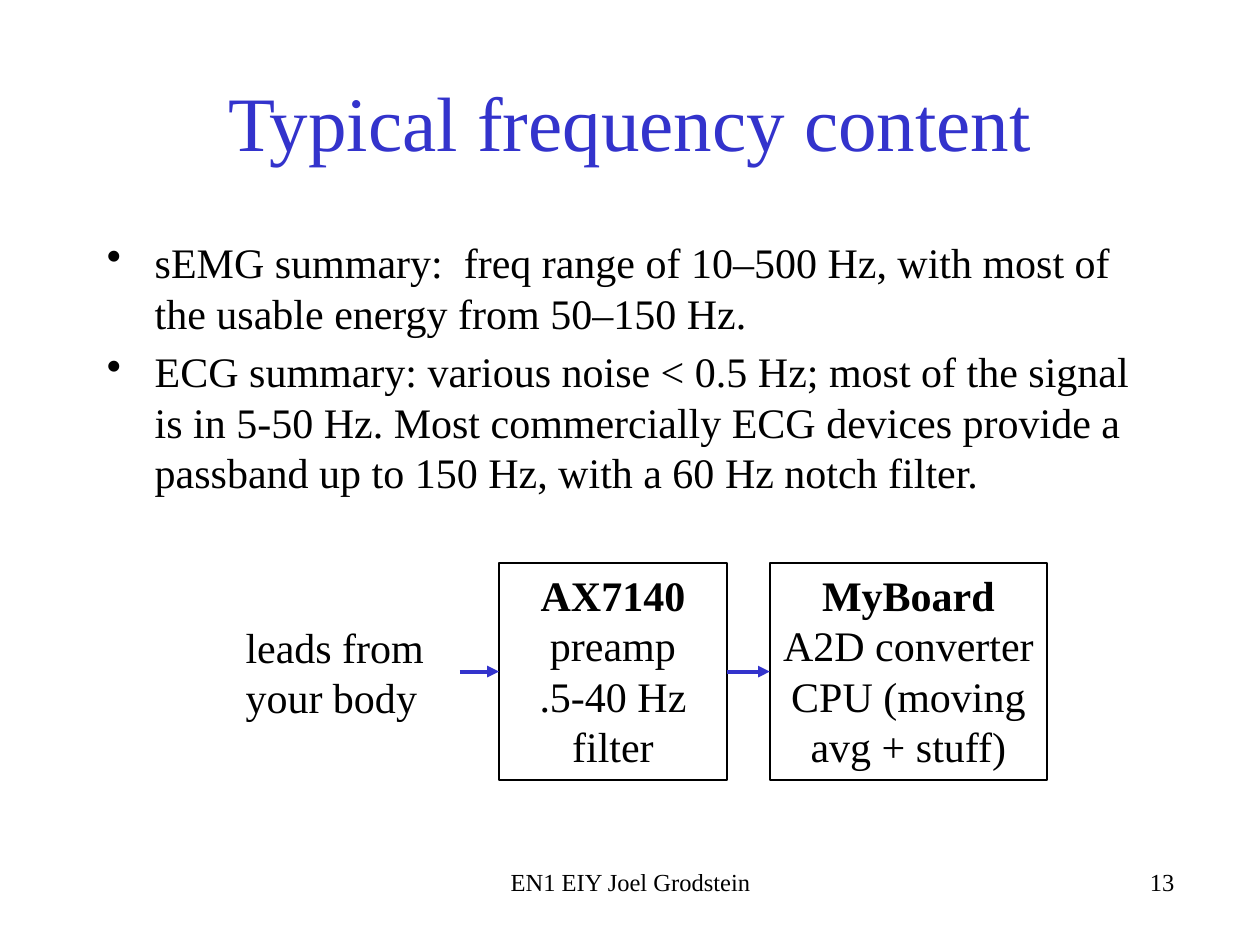
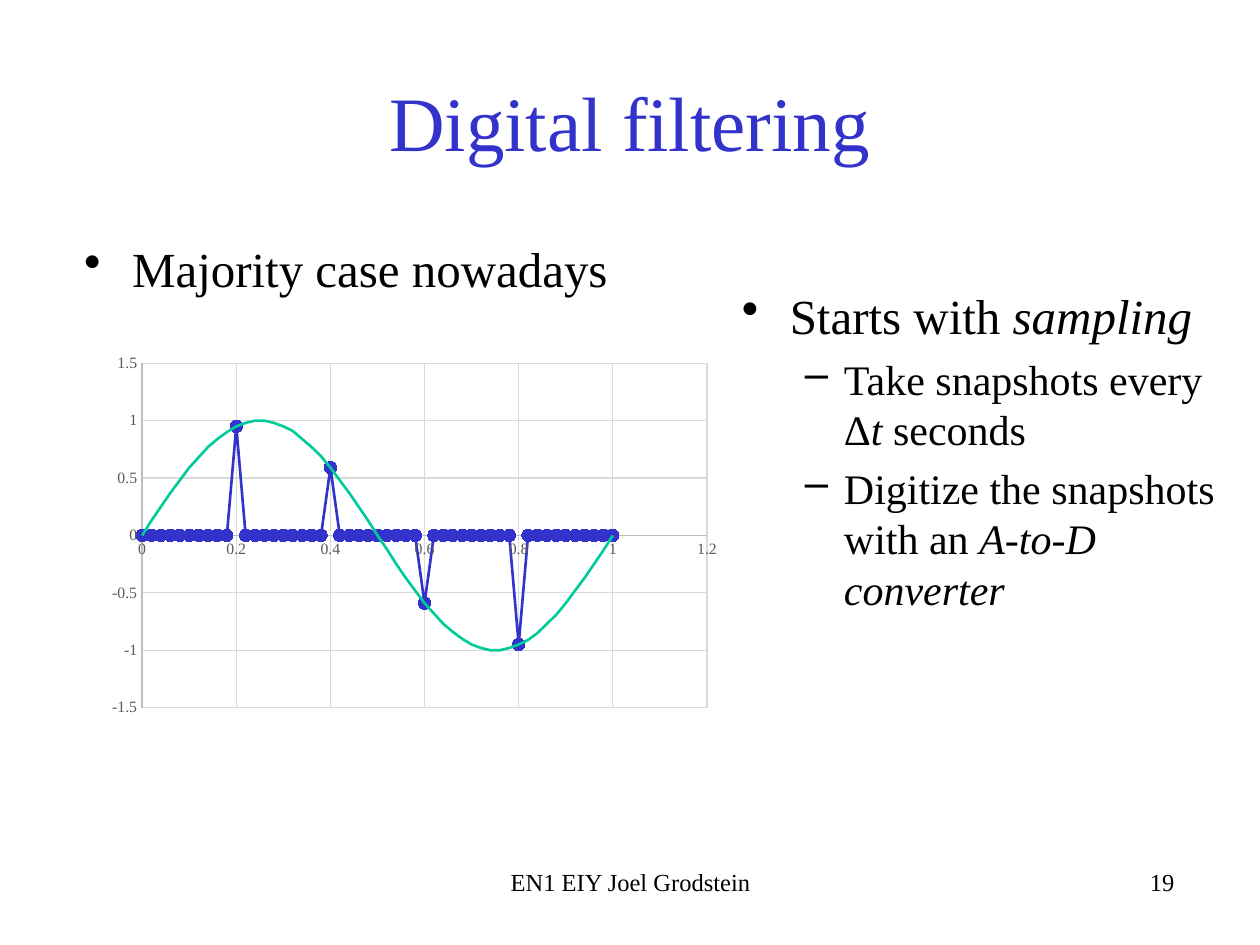
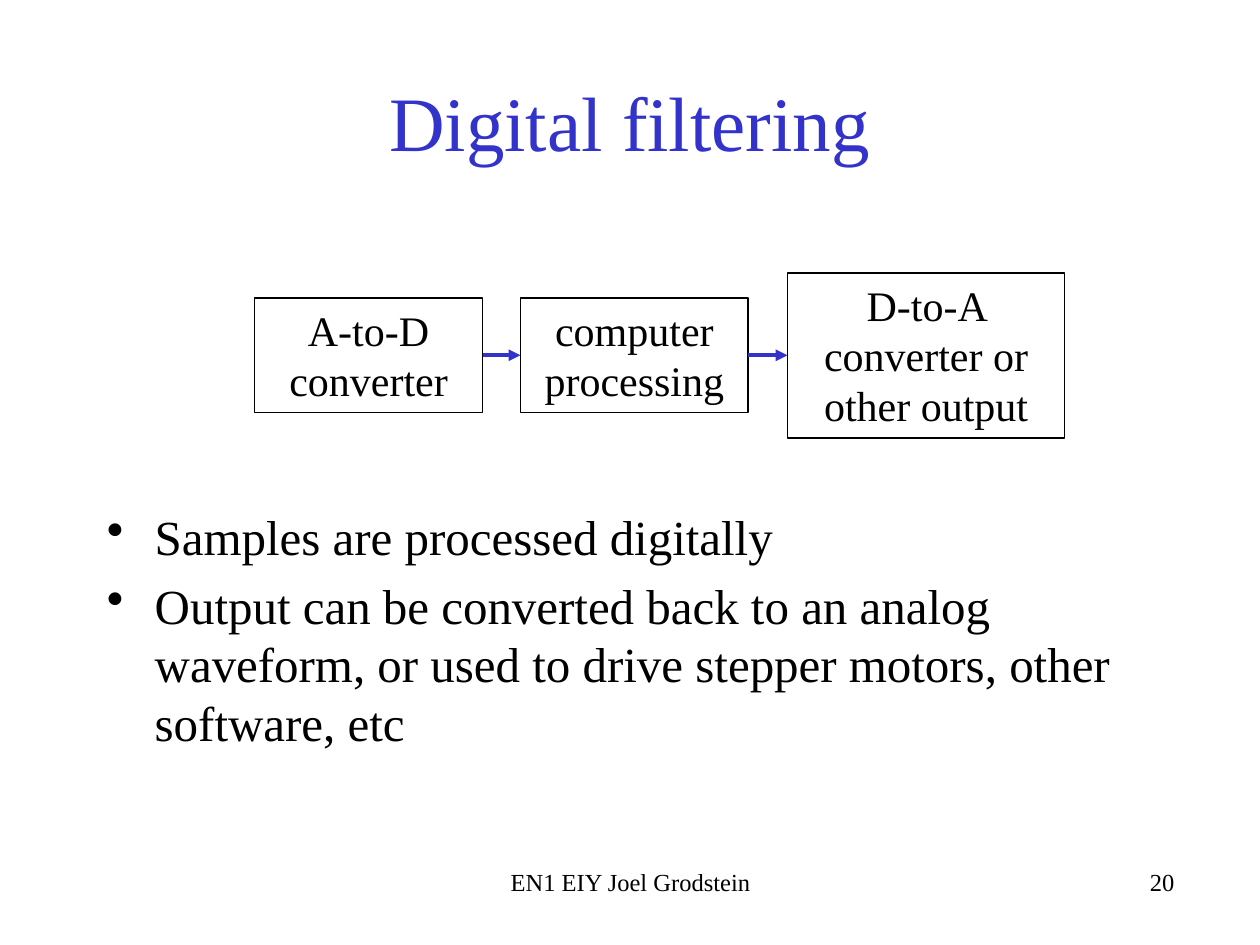
"""Build three slides on the frequency content and digital filtering of body signals."""
import math
from dataclasses import dataclass
from typing import NamedTuple, Optional

from lxml import etree
from pptx import Presentation
from pptx import util as u
from pptx.chart import data
from pptx.dml import color
from pptx.enum import chart as ch
from pptx.enum import shapes, text
from pptx.oxml import ns


def rgb(value: str) -> color.RGBColor:
    return color.RGBColor.from_string(value)


@dataclass(frozen=True)
class Theme:
    font: str = "Times New Roman"
    ink: color.RGBColor = rgb("000000")
    accent: color.RGBColor = rgb("3333CC")
    wave: color.RGBColor = rgb("00CC99")
    grid: color.RGBColor = rgb("D9D9D9")
    axis: color.RGBColor = rgb("BFBFBF")
    label: color.RGBColor = rgb("595959")
    title_size: float = 44
    large: float = 28
    body: float = 24
    footer: float = 14
    tick: float = 9
    outline: float = 1
    arrow: float = 2.25
    curve: float = 1.5
    hairline: float = 0.75


class Rect(NamedTuple):
    left: float
    top: float
    width: float
    height: float

    def lengths(self) -> list[u.Length]:
        return [u.Inches(v) for v in self]


class Run(NamedTuple):
    text: str
    bold: bool = False
    italic: bool = False


class Para(NamedTuple):
    runs: list[Run]
    size: float
    level: int = 0


class Box(NamedTuple):
    left: float
    width: float
    height: float
    lines: list[Run]


class Bullet(NamedTuple):
    char: str
    margin: float
    hanging: float


T = Theme()
BULLETS = [Bullet("•", 0.38, 0.38), Bullet("–", 0.81, 0.31)]
TITLE = Rect(0.75, 0.33, 8.5, 1.25)
FOOTER = Rect(3.42, 6.83, 3.17, 0.34)
NUMBER = Rect(6.25, 6.83, 3.17, 0.5)
FOOTER_TEXT = "EN1 EIY Joel Grodstein"
ARROW_LENGTH = 0.31


def style(font, size: float, ink: color.RGBColor = T.ink) -> None:
    font.name, font.size = T.font, u.Pt(size)
    font.color.rgb = ink


def add_run(p, run: Run, size: float, ink: color.RGBColor = T.ink) -> None:
    r = p.add_run()
    r.text = run.text
    style(r.font, size, ink)
    r.font.bold, r.font.italic = run.bold, run.italic


def paragraphs(tf, count: int) -> list:
    return [tf.paragraphs[0]] + [tf.add_paragraph() for _ in range(count - 1)]


def add_lines(tf, lines: list[Run], size: float, align) -> None:
    tf.word_wrap = True
    for p, line in zip(paragraphs(tf, len(lines)), lines):
        p.alignment = align
        add_run(p, line, size)


def add_text(s, rect: Rect, line: str, size: float, align=text.PP_ALIGN.LEFT) -> None:
    sp = s.shapes.add_textbox(*rect.lengths())
    add_lines(sp.text_frame, [Run(line)], size, align)


def add_bullets(s, rect: Rect, items: list[Para]) -> None:
    tf = s.shapes.add_textbox(*rect.lengths()).text_frame
    tf.word_wrap = True
    for i, (p, item) in enumerate(zip(paragraphs(tf, len(items)), items)):
        bullet = BULLETS[item.level]
        pPr = p._p.get_or_add_pPr()
        pPr.set("marL", str(u.Inches(bullet.margin)))
        pPr.set("indent", str(-u.Inches(bullet.hanging)))
        etree.SubElement(pPr, ns.qn("a:buChar")).set("char", bullet.char)
        p.level = item.level
        if i:
            p.space_before = u.Pt(0.2 * item.size)
        for run in item.runs:
            add_run(p, run, item.size)


def add_box(s, box: Box, middle: float):
    rect = Rect(box.left, middle - box.height / 2, box.width, box.height)
    sp = s.shapes.add_shape(shapes.MSO_SHAPE.RECTANGLE, *rect.lengths())
    sp.shadow.inherit = False
    sp.fill.background()
    sp.line.color.rgb, sp.line.width = T.ink, u.Pt(T.outline)
    tf = sp.text_frame
    add_lines(tf, box.lines, T.body, text.PP_ALIGN.CENTER)
    tf.vertical_anchor = text.MSO_ANCHOR.TOP
    tf.auto_size = text.MSO_AUTO_SIZE.SHAPE_TO_FIT_TEXT
    return sp


def add_arrow(s, target, source=None) -> None:
    y = target.top + target.height // 2
    start = target.left - u.Inches(ARROW_LENGTH)
    line = s.shapes.add_connector(shapes.MSO_CONNECTOR.STRAIGHT, start, y, target.left, y)
    if source is not None:
        line.begin_connect(source, 3)
    line.end_connect(target, 1)
    line.line.color.rgb, line.line.width = T.accent, u.Pt(T.arrow)
    etree.SubElement(line.line._get_or_add_ln(), ns.qn("a:tailEnd")).set("type", "triangle")
    etree.SubElement(line._element.spPr, ns.qn("a:effectLst"))


def add_flow(s, boxes: list[Box], middle: float) -> list:
    sps = [add_box(s, box, middle) for box in boxes]
    for source, target in zip(sps, sps[1:]):
        add_arrow(s, target, source)
    return sps


def add_slide(prs, title: str, number: int):
    s = prs.slides.add_slide(prs.slide_layouts[5])
    sp = s.shapes.title
    sp.left, sp.top, sp.width, sp.height = TITLE.lengths()
    tf = sp.text_frame
    tf.vertical_anchor = text.MSO_ANCHOR.MIDDLE
    p = tf.paragraphs[0]
    p.alignment = text.PP_ALIGN.CENTER
    add_run(p, Run(title), T.title_size, T.accent)
    add_text(s, FOOTER, FOOTER_TEXT, T.footer, text.PP_ALIGN.CENTER)
    add_text(s, NUMBER, str(number), T.footer, text.PP_ALIGN.RIGHT)
    return s


def format_axis(axis, low: float, high: float, step: float) -> None:
    axis.minimum_scale, axis.maximum_scale, axis.major_unit = low, high, step
    axis.major_tick_mark = axis.minor_tick_mark = ch.XL_TICK_MARK.NONE
    axis.has_major_gridlines = True
    style(axis.tick_labels.font, T.tick, T.label)
    axis.tick_labels.number_format = "General"
    axis.tick_labels.number_format_is_linked = False
    for line, ink in ((axis.format.line, T.axis), (axis.major_gridlines.format.line, T.grid)):
        line.color.rgb, line.width = ink, u.Pt(T.hairline)


def add_sampling_chart(s, rect: Rect) -> None:
    xs = [round(i * 0.02, 2) for i in range(51)]
    wave = [round(math.sin(6.28 * x), 2) + 0.0 for x in xs]
    samples: list[Optional[float]] = [y if i % 10 == 0 else None for i, y in enumerate(wave)]
    chart_data = data.XyChartData()
    for name, ys in (("Series 1", wave), ("Series 2", samples)):
        series = chart_data.add_series(name)
        for x, y in zip(xs, ys):
            series.add_data_point(x, y)
    kind = ch.XL_CHART_TYPE.XY_SCATTER_SMOOTH_NO_MARKERS
    chart = s.shapes.add_chart(kind, *rect.lengths(), chart_data).chart
    style(chart.font, 10)
    chart.has_legend = chart.has_title = False
    format_axis(chart.category_axis, 0, 1.2, 0.2)
    format_axis(chart.value_axis, -1.5, 1.5, 0.5)
    plot = chart.plots[0]
    plot.vary_by_categories = False
    for series, ink in zip(plot.series, (T.wave, T.accent)):
        series.smooth = True
        series.format.line.color.rgb, series.format.line.width = ink, u.Pt(T.curve)
    marker = plot.series[1].marker
    marker.style, marker.size = ch.XL_MARKER_STYLE.CIRCLE, 7
    marker.format.fill.solid()
    marker.format.fill.fore_color.rgb = marker.format.line.color.rgb = T.accent
    root = chart._chartSpace
    for blank in root.xpath('.//c:pt[c:v="None"]'):
        blank.getparent().remove(blank)
    for blanks_as in root.xpath(".//c:dispBlanksAs"):
        blanks_as.set("val", "zero")


def frequency_slide(prs) -> None:
    s = add_slide(prs, "Typical frequency content", 13)
    add_bullets(s, Rect(0.75, 1.83, 8.5, 2.3), [
        Para([Run("sEMG summary:  freq range of 10–500 Hz, with most of the usable energy "
                  "from 50–150 Hz.")], T.body),
        Para([Run("ECG summary: various noise < 0.5 Hz; most of the signal is in 5-50 Hz. "
                  "Most commercially ECG devices provide a passband up to 150 Hz, with a "
                  "60 Hz notch filter.")], T.body),
    ])
    add_text(s, Rect(1.85, 4.88, 1.65, 0.91), "leads from your body", T.body)
    preamp, _ = add_flow(s, [
        Box(3.96, 1.81, 1.72, [Run("AX7140", bold=True), Run("preamp"), Run(".5-40 Hz filter")]),
        Box(6.11, 2.2, 1.72, [Run("MyBoard", bold=True), Run("A2D converter"),
                              Run("CPU (moving avg + stuff)")]),
    ], 5.33)
    add_arrow(s, preamp)


def sampling_slide(prs) -> None:
    s = add_slide(prs, "Digital filtering", 19)
    add_bullets(s, Rect(0.57, 1.84, 4.78, 0.71), [Para([Run("Majority case nowadays")], T.large)])
    add_sampling_chart(s, Rect(0.79, 2.75, 5, 3))
    add_bullets(s, Rect(5.79, 2.22, 4.07, 2.8), [
        Para([Run("Starts with "), Run("sampling", italic=True)], T.large),
        Para([Run("Take snapshots every Δ"), Run("t", italic=True), Run(" seconds")], T.body, 1),
        Para([Run("Digitize the snapshots with an "), Run("A-to-D converter", italic=True)],
             T.body, 1),
    ])


def processing_slide(prs) -> None:
    s = add_slide(prs, "Digital filtering", 20)
    add_bullets(s, Rect(0.75, 3.97, 8.5, 2.1), [
        Para([Run("Samples are processed digitally")], T.large),
        Para([Run("Output can be converted back to an analog waveform, or used to drive "
                  "stepper motors, other software, etc")], T.large),
    ])
    add_flow(s, [
        Box(2.02, 1.81, 0.91, [Run("A-to-D converter")]),
        Box(4.13, 1.81, 0.91, [Run("computer processing")]),
        Box(6.25, 2.2, 1.31, [Run("D-to-A converter or other output")]),
    ], 2.82)


def main() -> None:
    prs = Presentation()
    prs.slide_width, prs.slide_height = u.Inches(10), u.Inches(7.5)
    frequency_slide(prs)
    sampling_slide(prs)
    processing_slide(prs)
    prs.save("out.pptx")


if __name__ == "__main__":
    main()
